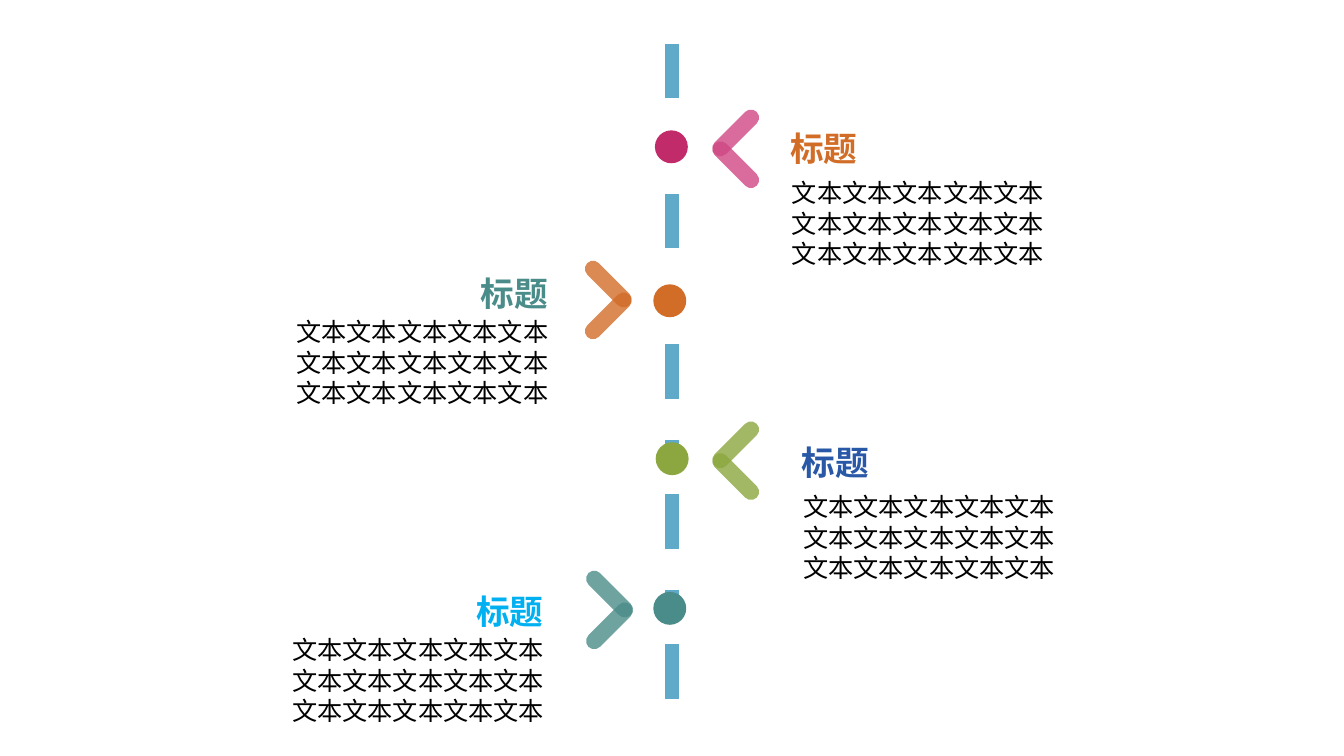
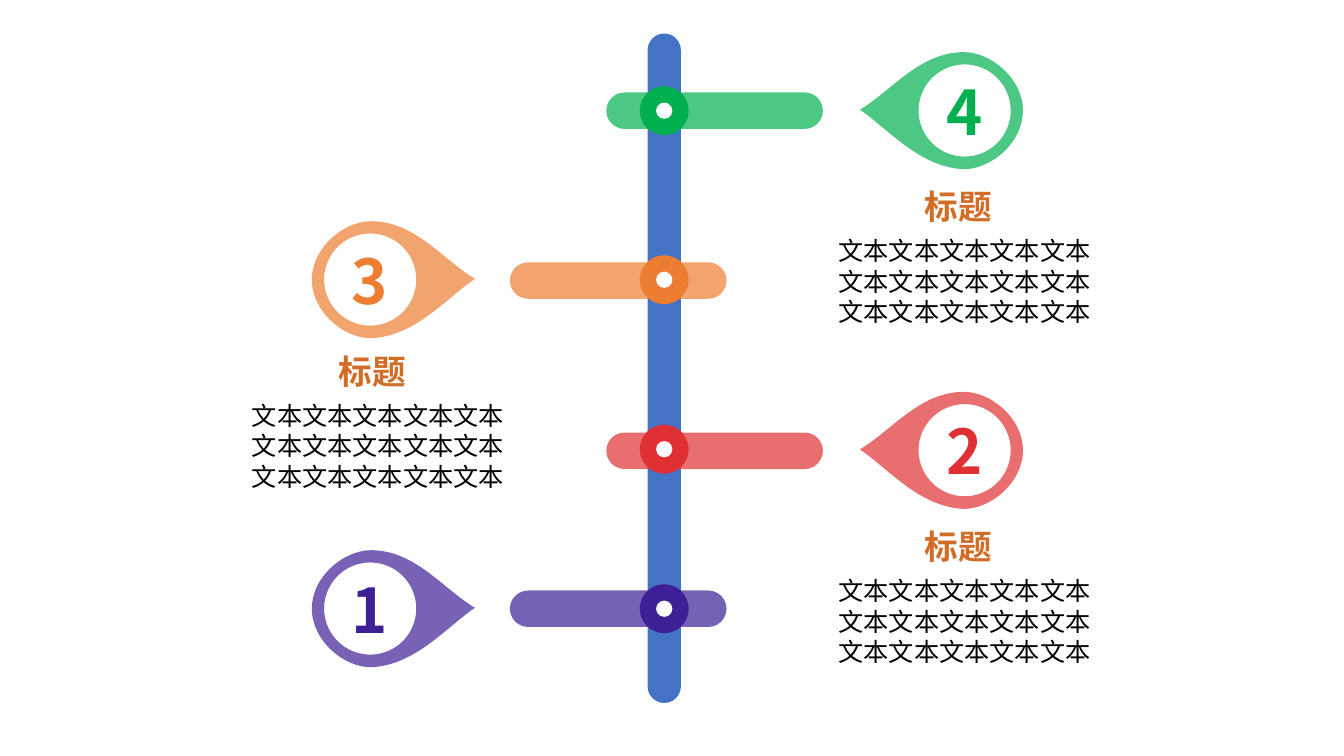
from dataclasses import dataclass

from lxml import etree
from pptx import Presentation
from pptx.dml.color import RGBColor
from pptx.enum import dml, shapes, text
from pptx.oxml.ns import qn
from pptx.util import Cm, Pt


@dataclass(frozen=True)
class Theme:
    font: str = "Noto Sans CJK SC"
    black: str = "000000"
    white: str = "FFFFFF"
    blue: str = "4472C4"
    navy: str = "2958A7"
    sky: str = "00B0F0"
    dash: str = "60AAC9"
    magenta: str = "C22B69"
    pink: str = "D04884"
    rust: str = "D26D28"
    olive: str = "8CA73F"
    teal: str = "4A8C89"
    green: str = "00B050"
    orange: str = "ED7D31"
    red: str = "DF3133"
    violet: str = "3D2095"
    # Size and line pitch in points
    heading: tuple = (24, 29)
    body: tuple = (18, 21.8)
    number: tuple = (44, 53)


THEME = Theme()
HEADING = "标题"
BODY = ["文本文本文本文本文本"] * 3

# Outline of a pin pointing left: start point, then cubic curves (cm)
PIN_WIDTH, PIN_HEIGHT = 4.11, 2.95
PIN_START = (0, 1.45)
PIN_CURVES = [
    ((0.79, 0.99), (1.5, 0), (2.62, 0)),
    ((3.3, 0), (4.11, 0.66), (4.11, 1.47)),
    ((4.11, 2.29), (3.3, 2.95), (2.62, 2.95)),
    ((1.5, 2.9), (0.71, 1.93), (0, 1.45)),
]


# Basic elements
def style_shape(shape, color, opacity=100):
    shape.shadow.inherit = False
    shape.fill.solid()
    shape.fill.fore_color.rgb = RGBColor.from_string(color)
    if opacity < 100:
        fill = shape.element.spPr.find(qn("a:solidFill"))
        alpha = etree.SubElement(fill[0], qn("a:alpha"))
        alpha.set("val", str(opacity * 1000))
    shape.line.fill.background()


def add_centred(container, kind, center, size, color, opacity=100):
    left, top = (c - s / 2 for c, s in zip(center, size))
    shape = container.add_shape(kind, Cm(left), Cm(top), *map(Cm, size))
    style_shape(shape, color, opacity)
    return shape


def add_dot(container, center, diameter, color):
    return add_centred(container, shapes.MSO_SHAPE.OVAL, center,
                       (diameter, diameter), color)


def add_pill(container, center, size, color, opacity=100, rotation=0):
    pill = add_centred(container, shapes.MSO_SHAPE.ROUNDED_RECTANGLE,
                       center, size, color, opacity)
    pill.adjustments[0] = 0.5
    pill.rotation = rotation


def write_line(paragraph, content, sizes, color, bold=False):
    size, pitch = sizes
    paragraph.line_spacing = Pt(pitch)
    run = paragraph.add_run()
    run.text = content
    run.font.size = Pt(size)
    run.font.bold = bold
    run.font.name = THEME.font
    run.font.color.rgb = RGBColor.from_string(color)
    east_asian = etree.SubElement(run.font._element, qn("a:ea"))
    east_asian.set("typeface", THEME.font)


def add_text(slide, left, top, size, lines, sizes, color, bold=False):
    box = slide.shapes.add_textbox(Cm(left), Cm(top), *map(Cm, size))
    frame = box.text_frame
    frame.word_wrap = False
    frame.auto_size = text.MSO_AUTO_SIZE.SHAPE_TO_FIT_TEXT
    for index, line in enumerate(lines):
        paragraph = frame.add_paragraph() if index else frame.paragraphs[0]
        write_line(paragraph, line, sizes, color, bold)


def add_caption(slide, left, top, color, body_offset):
    """Heading with a three-line body placed relative to it."""
    add_text(slide, left, top, (2.24, 1.27), [HEADING], THEME.heading, color, True)
    add_text(slide, left + body_offset[0], top + body_offset[1], (6.93, 3.33),
             BODY, THEME.body, THEME.black)


# Timeline elements
def add_dashed_spine(container, x, top, bottom):
    line = container.add_connector(shapes.MSO_CONNECTOR.STRAIGHT,
                                   Cm(x), Cm(top), Cm(x), Cm(bottom))
    line.line.color.rgb = RGBColor.from_string(THEME.dash)
    line.line.width = Pt(9.75)
    line.line.dash_style = dml.MSO_LINE.DASH_DOT
    etree.SubElement(line.element.spPr, qn("a:effectLst"))


def add_chevron(container, center, color, points_left):
    x, y = center
    upper = 315 if points_left else 45
    for offset, rotation in ((-0.4, upper), (0.4, 360 - upper)):
        add_pill(container, (x, y + offset), (1.5, 0.41), color, 80, rotation)


# Pin elements
def bend_segments(shape):
    """Turn each three straight segments into one cubic curve."""
    outline = shape.element.spPr.find(".//" + qn("a:path"))
    segments = outline.findall(qn("a:lnTo"))
    for start in range(0, len(segments), 3):
        curve = outline.makeelement(qn("a:cubicBezTo"))
        segments[start].addprevious(curve)
        for segment in segments[start:start + 3]:
            curve.append(segment[0])
            outline.remove(segment)


def add_pin(slide, left, center_y, points_left, number, color, tint):
    top = center_y - PIN_HEIGHT / 2

    def place(point):
        x = point[0] if points_left else PIN_WIDTH - point[0]
        return left + x, top + point[1]

    group = slide.shapes.add_group_shape().shapes
    builder = group.build_freeform(*map(Cm, place(PIN_START)), scale=1.0)
    outline = [tuple(map(Cm, place(point)))
               for curve in PIN_CURVES for point in curve]
    builder.add_line_segments(outline, close=True)
    drop = builder.convert_to_shape()
    bend_segments(drop)
    style_shape(drop, tint)

    disc = add_dot(group, place((2.64, 1.47)), 2.49, THEME.white)
    disc.line.color.rgb = RGBColor.from_string(tint)
    disc.line.width = Pt(4.75)
    frame = disc.text_frame
    frame.word_wrap = False
    frame.margin_left = frame.margin_right = 0
    frame.margin_top = frame.margin_bottom = 0
    frame.vertical_anchor = text.MSO_ANCHOR.MIDDLE
    paragraph = frame.paragraphs[0]
    paragraph.alignment = text.PP_ALIGN.CENTER
    write_line(paragraph, number, THEME.number, color, True)


# Slides
def build_chevron_timeline(slide):
    timeline = slide.shapes.add_group_shape().shapes
    add_dashed_spine(timeline, 16.94, 1.1, 17.97)
    # Dot centre and colour, chevron centre and colour, heading place and colour
    stops = [
        ((16.92, 3.7), THEME.magenta, (18.54, 3.75), THEME.pink, (19.67, 3.1), THEME.rust),
        ((16.88, 7.58), THEME.rust, (15.33, 7.56), THEME.rust, (11.86, 6.74), THEME.teal),
        ((16.94, 11.56), THEME.olive, (18.54, 11.61), THEME.olive, (19.95, 11.01), THEME.navy),
        ((16.88, 15.33), THEME.teal, (15.36, 15.37), THEME.teal, (11.75, 14.75), THEME.sky),
    ]
    for dot, dot_color, chevron, chevron_color, heading, heading_color in stops:
        on_right = chevron[0] > dot[0]
        add_dot(timeline, dot, 0.83, dot_color)
        add_chevron(timeline, chevron, chevron_color, on_right)
        add_caption(slide, *heading, heading_color,
                    (0.04, 1.24) if on_right else (-4.64, 1.11))


def build_pin_timeline(slide):
    spine_x = 16.74
    add_pill(slide.shapes, (spine_x, 9.28), (0.84, 16.87), THEME.blue)
    # Number, bar, hub and pin heights, on the right, colour, tint, heading top
    stops = [
        ("4", 2.79, 2.79, 2.79, True, THEME.green, "4CC884", 4.56),
        ("3", 7.07, 7.05, 7.05, False, THEME.orange, "F2A46E", 8.71),
        ("2", 11.36, 11.32, 11.35, True, THEME.red, "E96E70", 13.13),
        ("1", 15.34, 15.34, 15.34, False, THEME.violet, "7762B5", None),
    ]
    for number, bar_y, hub_y, pin_y, on_right, color, tint, heading_top in stops:
        bar_x, pin_left, heading_left = (
            (18.01, 21.67, 23.06) if on_right else (15.58, 7.86, 8.28))
        add_pill(slide.shapes, (bar_x, bar_y), (5.46, 0.92), color, 70)
        add_dot(slide.shapes, (spine_x, hub_y), 1.23, color)
        add_dot(slide.shapes, (spine_x, hub_y), 0.41, THEME.white)
        add_pin(slide, pin_left, pin_y, on_right, number, color, tint)
        if heading_top is not None:
            add_caption(slide, heading_left, heading_top, THEME.rust, (-2.18, 1.24))


def main():
    presentation = Presentation()
    presentation.slide_width = Cm(33.87)
    presentation.slide_height = Cm(19.05)
    blank = presentation.slide_layouts[6]
    for build in (build_chevron_timeline, build_pin_timeline):
        build(presentation.slides.add_slide(blank))
    presentation.save("out.pptx")


if __name__ == "__main__":
    main()
